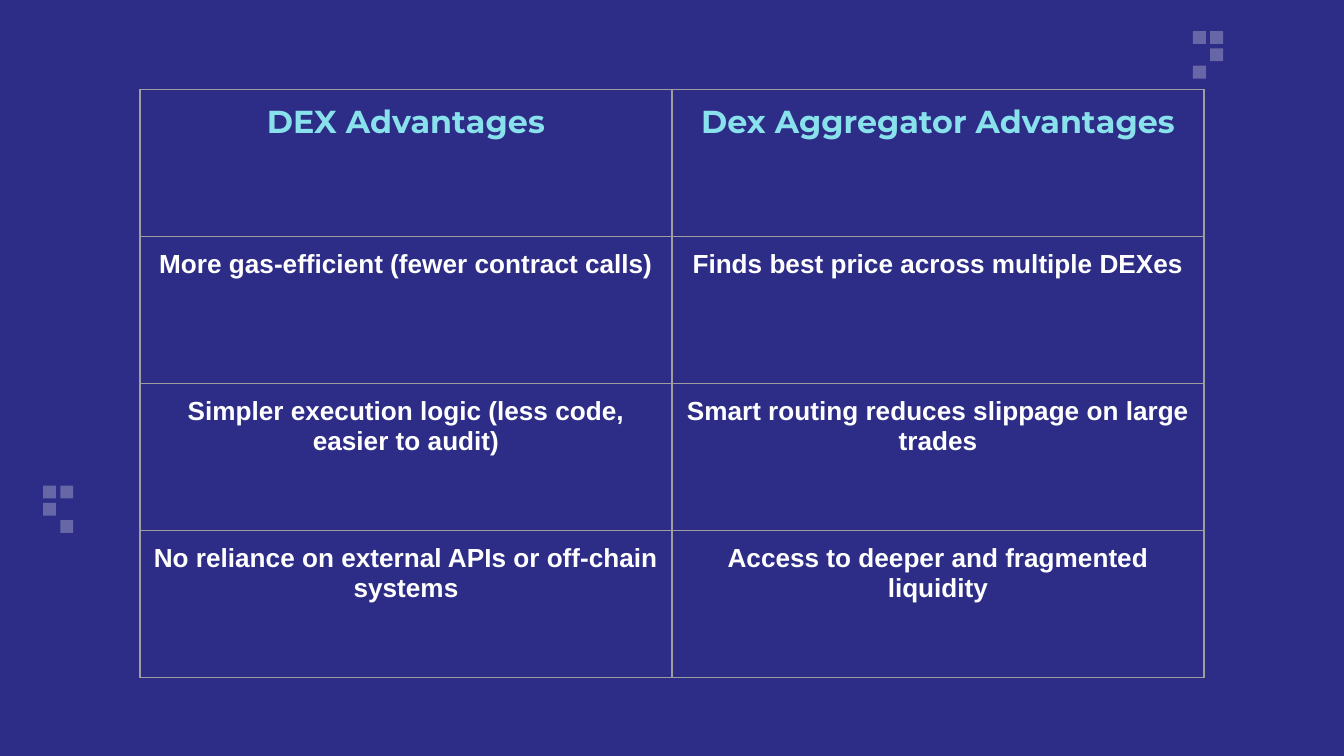
from lxml.etree import SubElement
from pptx import Presentation
from pptx.dml.color import RGBColor
from pptx.enum.shapes import MSO_SHAPE as Shape
from pptx.enum.text import PP_ALIGN as Align
from pptx.oxml.ns import qn
from pptx.util import Pt

NAVY = RGBColor(0x2D, 0x2D, 0x87)
WHITE = RGBColor(0xFF, 0xFF, 0xFF)
AQUA = RGBColor(0x89, 0xE1, 0xEC)
GRAY = RGBColor(0x9E, 0x9E, 0x9E)

ROWS = [
    ("DEX Advantages", "Dex Aggregator Advantages"),
    ("More gas-efficient (fewer contract calls)",
     "Finds best price across multiple DEXes"),
    ("Simpler execution logic (less code, easier to audit)",
     "Smart routing reduces slippage on large trades"),
    ("No reliance on external APIs or off-chain systems",
     "Access to deeper and fragmented liquidity"),
]
HEAD = ("Montserrat", 17, AQUA)
BODY = ("Arial", 14, WHITE)

# Each cluster: left, top, and the (column, row) places of its squares
CLUSTERS = [
    (639.1, 16.7, [(0, 0), (1, 0), (1, 1), (0, 2)]),
    (23.1, 260.1, [(0, 0), (1, 0), (0, 1), (1, 2)]),
]
SIDE, STEP = 6.9, 9.25
LEFT, TOP, COL, ROW = 75, 48, 285, 78.75
INSET = Pt(7.2)


def add_square(slide, x, y):
    box = slide.shapes.add_shape(Shape.RECTANGLE, Pt(x), Pt(y), Pt(SIDE), Pt(SIDE))
    box.shadow.inherit = False
    box.fill.solid()
    box.fill.fore_color.rgb = WHITE
    box.line.fill.background()
    color = box.fill._xPr.find(qn("a:solidFill"))[0]
    SubElement(color, qn("a:alpha"), val="28000")


def add_borders(cell):
    props = cell._tc.get_or_add_tcPr()
    for side in ("lnL", "lnR", "lnT", "lnB"):
        line = SubElement(props, qn(f"a:{side}"), w=str(Pt(0.75)))
        fill = SubElement(line, qn("a:solidFill"))
        SubElement(fill, qn("a:srgbClr"), val=str(GRAY))


def fill_cell(cell, text, style):
    add_borders(cell)
    cell.fill.solid()
    cell.fill.fore_color.rgb = NAVY
    cell.margin_left = cell.margin_right = INSET
    cell.margin_top = cell.margin_bottom = INSET
    cell.text_frame.text = text
    para = cell.text_frame.paragraphs[0]
    para.alignment = Align.CENTER
    font = para.runs[0].font
    font.name, size, font.color.rgb = style
    font.size = Pt(size)
    font.bold = True


def main():
    deck = Presentation()
    deck.slide_width, deck.slide_height = Pt(720), Pt(405)
    slide = deck.slides.add_slide(deck.slide_layouts[6])
    slide.background.fill.solid()
    slide.background.fill.fore_color.rgb = NAVY

    for left, top, places in CLUSTERS:
        for col, row in places:
            add_square(slide, left + col * STEP, top + row * STEP)

    count, width = len(ROWS), len(ROWS[0])
    table = slide.shapes.add_table(count, width, Pt(LEFT), Pt(TOP),
                                   Pt(COL * width), Pt(ROW * count)).table
    for col in table.columns:
        col.width = Pt(COL)
    for r, texts in enumerate(ROWS):
        table.rows[r].height = Pt(ROW)
        for c, text in enumerate(texts):
            fill_cell(table.cell(r, c), text, BODY if r else HEAD)

    deck.save("out.pptx")


if __name__ == "__main__":
    main()
